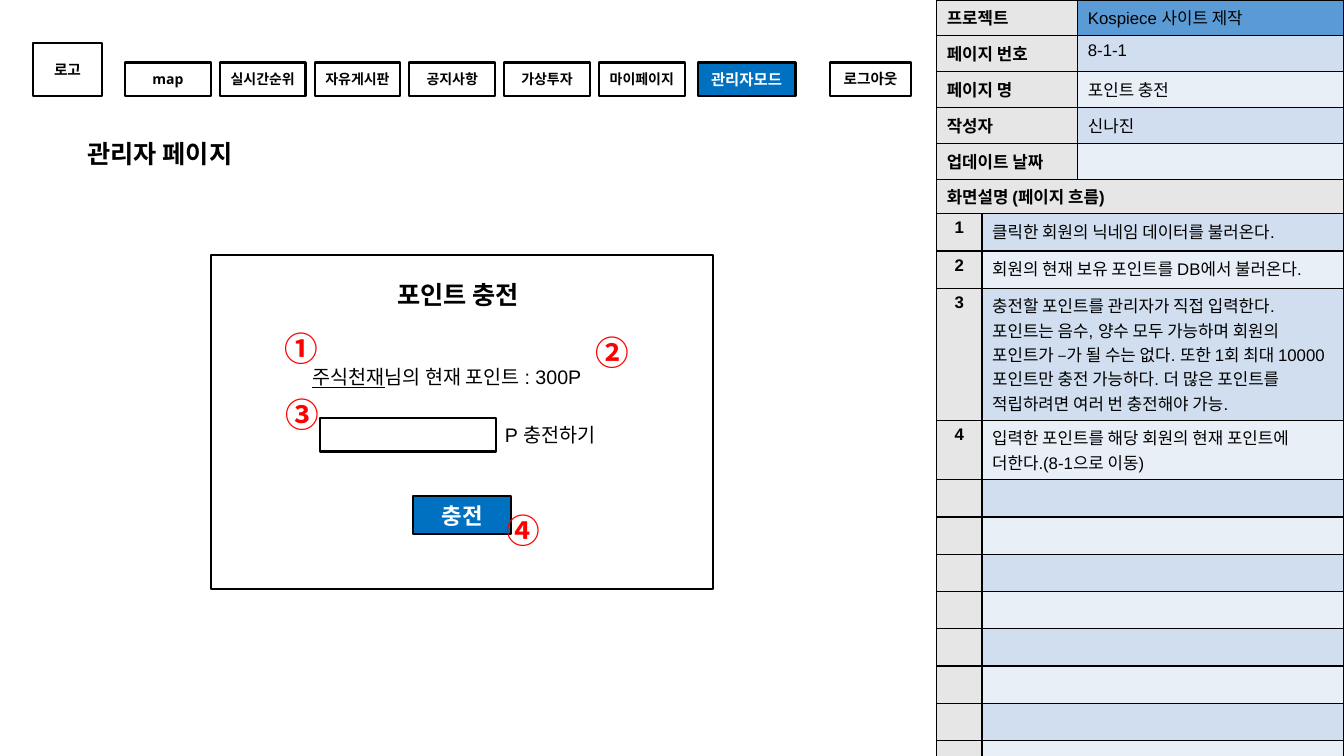
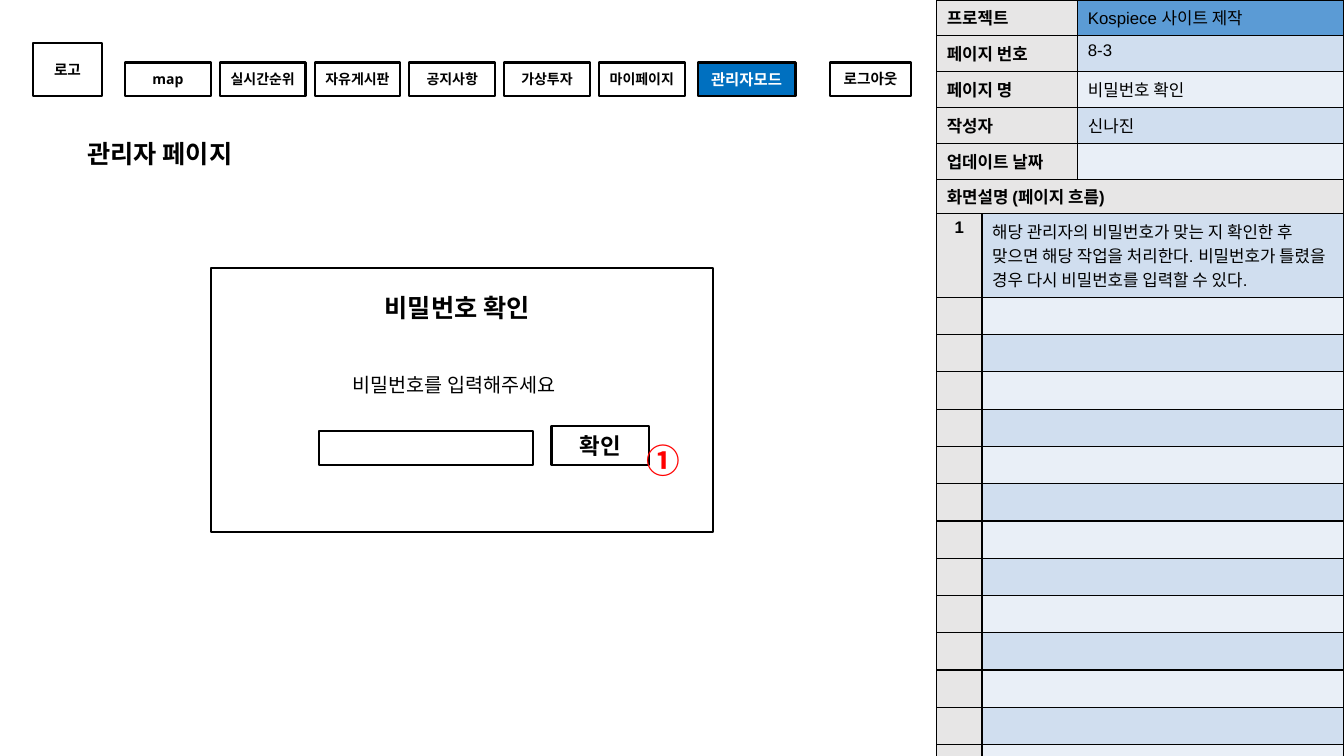
from lxml import etree
from pptx import Presentation
from pptx.dml.color import RGBColor
from pptx.enum.shapes import MSO_SHAPE
from pptx.enum.text import MSO_ANCHOR, PP_ALIGN
from pptx.oxml.ns import qn
from pptx.util import Inches, Pt

RECT = MSO_SHAPE.RECTANGLE
MIDDLE = MSO_ANCHOR.MIDDLE
TOP = MSO_ANCHOR.TOP
CENTER = PP_ALIGN.CENTER
LEFT = PP_ALIGN.LEFT

HEX = {
    "black": "000000", "white": "FFFFFF", "red": "FF0000", "blue": "0070C0",
    "head": "5B9BD5", "label": "E7E6E6", "dark": "D0DEEF", "light": "E9EFF7",
}
BODY, BOLD, KOREAN = "Arial", "Open Sans", "Noto Sans CJK KR"
SIDE, SPLIT = 9.29, 1.78
HEAD, ROW = 0.34, 0.37
MENU = ["map", "실시간순위", "자유게시판", "공지사항", "가상투자", "마이페이지"]


def color(name):
    return RGBColor.from_string(HEX[name])


class Deck:
    def __init__(self):
        self.prs = Presentation()
        self.prs.slide_width = Inches(13.33)
        self.prs.slide_height = Inches(7.5)
        self.slide = None

    # Text
    def run(self, par, text, size, font=BODY, ink="black", bold=False, under=False):
        run = par.add_run()
        run.text = text
        run.font.name = font
        run.font.size = Pt(size)
        run.font.bold = bold
        run.font.underline = under
        run.font.color.rgb = color(ink)
        east = etree.SubElement(run.font._element, qn("a:ea"))
        east.set("typeface", KOREAN)

    def frame(self, shape, pad, anchor):
        frame = shape.text_frame
        frame.word_wrap = True
        frame.vertical_anchor = anchor
        frame.margin_left = frame.margin_right = Inches(pad[0])
        frame.margin_top = frame.margin_bottom = Inches(pad[1])
        return frame.paragraphs[0]

    def label(self, x, y, w, h):
        return self.slide.shapes.add_textbox(Inches(x), Inches(y), Inches(w), Inches(h))

    def title(self, x, y, text):
        par = self.frame(self.label(x, y, 1.81, 0.37), (0.1, 0.1), MIDDLE)
        par.alignment = CENTER
        self.run(par, text, 18, BOLD, bold=True)

    def line(self, x, y, w, text, lead=""):
        par = self.frame(self.label(x, y, w, 0.34), (0.1, 0.05), TOP)
        if lead:
            self.run(par, lead, 14, under=True)
        self.run(par, text, 14)

    def badge(self, x, y, mark):
        par = self.frame(self.label(x, y, 0.6, 0.5), (0.1, 0.05), TOP)
        self.run(par, mark, 24, KOREAN, "red", True)

    # Boxes
    def box(self, x, y, w, h, text="", size=10, fill=None, ink="black"):
        box = self.slide.shapes.add_shape(RECT, Inches(x), Inches(y), Inches(w), Inches(h))
        box.shadow.inherit = False
        box.line.color.rgb = color("black")
        box.line.width = Pt(1.5)
        if fill:
            box.fill.solid()
            box.fill.fore_color.rgb = color(fill)
        else:
            box.fill.background()
        if text:
            par = self.frame(box, (0, 0.1), MIDDLE)
            par.alignment = CENTER
            self.run(par, text, size, BOLD, ink, True)

    # Tables
    def cell(self, cell, text, fill, bold=False, align=LEFT):
        props = cell._tc.get_or_add_tcPr()
        for side in ("lnL", "lnR", "lnT", "lnB"):
            edge = etree.SubElement(props, qn("a:" + side), w=str(Pt(1)))
            paint = etree.SubElement(edge, qn("a:solidFill"))
            etree.SubElement(paint, qn("a:srgbClr"), val=HEX["black"])
        cell.fill.solid()
        cell.fill.fore_color.rgb = color(fill)
        frame = cell.text_frame
        for i, part in enumerate(text.split("\n")):
            par = frame.add_paragraph() if i else frame.paragraphs[0]
            par.alignment = align
            if part:
                self.run(par, part, 12, bold=bold)
            else:
                etree.SubElement(par._p, qn("a:endParaRPr"), sz="1200")

    def table(self, y, cols, rows):
        shape = self.slide.shapes.add_table(
            len(rows), len(cols), Inches(SIDE), Inches(y),
            Inches(sum(cols)), Inches(sum(rows)))
        table = shape.table
        table.first_row = table.horz_banding = False
        for col, width in zip(table.columns, cols):
            col.width = Inches(width)
        for row, height in zip(table.rows, rows):
            row.height = Inches(height)
        return table

    def info(self, code, name):
        rows = [("프로젝트", "Kospiece 사이트 제작"), ("페이지 번호", code),
                ("페이지 명", name), ("작성자", "신나진"), ("업데이트 날짜", "")]
        fills = ["head", "dark", "light", "dark", "light"]
        table = self.table(0, [1.4, 2.64], [SPLIT / len(rows)] * len(rows))
        for i, (key, value) in enumerate(rows):
            self.cell(table.cell(i, 0), key, "label", True)
            self.cell(table.cell(i, 1), value, fills[i])

    def flow(self, notes, tall, count):
        rows = [HEAD] + tall + [ROW] * (count - len(tall))
        table = self.table(SPLIT, [0.45, 3.59], rows)
        table.cell(0, 0).merge(table.cell(0, 1))
        self.cell(table.cell(0, 0), "화면설명 (페이지 흐름)", "label", True)
        self.cell(table.cell(0, 1), "", "label")
        for i in range(1, count + 1):
            used = i <= len(notes)
            self.cell(table.cell(i, 0), str(i) if used else "", "label", True, CENTER)
            self.cell(table.cell(i, 1), notes[i - 1] if used else "",
                      "dark" if i % 2 else "light")

    # Shared page parts
    def page(self, code, name):
        self.slide = self.prs.slides.add_slide(self.prs.slide_layouts[6])
        self.info(code, name)
        self.box(0.33, 0.43, 0.68, 0.52, "로고", 10.5)
        for i, item in enumerate(MENU):
            self.box(1.24 + 0.94 * i, 0.62, 0.85, 0.33, item)
        self.box(6.92, 0.62, 0.97, 0.33, "관리자모드", 11, "blue", "white")
        self.box(8.23, 0.62, 0.81, 0.33, "로그아웃", 10.5)
        self.title(0.68, 1.34, "관리자 페이지")


def charge(deck):
    deck.page("8-1-1", "포인트 충전")
    deck.flow([
        "클릭한 회원의 닉네임 데이터를 불러온다.",
        "회원의 현재 보유 포인트를 DB에서 불러온다.",
        "충전할 포인트를 관리자가 직접 입력한다.\n"
        "포인트는 음수, 양수 모두 가능하며 회원의 포인트가 –가 될 수는 없다. "
        "또한 1회 최대 10000포인트만 충전 가능하다. "
        "더 많은 포인트를 적립하려면 여러 번 충전해야 가능.",
        "입력한 포인트를 해당 회원의 현재 포인트에 더한다.(8-1으로 이동)",
    ], [ROW, ROW, 1.31, 0.59], 12)
    # Charge dialog
    deck.box(2.09, 2.53, 4.98, 3.31)
    deck.title(3.64, 2.74, "포인트 충전")
    deck.line(3, 3.57, 3.63, "님의 현재 포인트 : 300P", "주식천재")
    deck.box(3.17, 4.15, 1.75, 0.33)
    deck.line(4.91, 4.15, 1.28, "P 충전하기")
    deck.box(4.1, 4.92, 0.97, 0.38, "충전", 16, "blue", "white")
    for x, y, mark in [(2.72, 3.2, "①"), (5.81, 3.24, "②"),
                       (2.73, 3.86, "③"), (4.93, 5.01, "④")]:
        deck.badge(x, y, mark)


def check(deck):
    deck.page("8-3", "비밀번호 확인")
    deck.flow([
        "해당 관리자의 비밀번호가 맞는 지 확인한 후 맞으면 해당 작업을 처리한다. "
        "비밀번호가 틀렸을 경우 다시 비밀번호를 입력할 수 있다.",
    ], [0.83], 14)
    # Password dialog
    deck.box(2.09, 2.66, 4.98, 2.62)
    deck.title(3.63, 2.87, "비밀번호 확인")
    deck.line(3.4, 3.65, 2.54, "비밀번호를 입력해주세요")
    deck.box(3.16, 4.28, 2.13, 0.33)
    deck.box(5.47, 4.23, 0.97, 0.38, "확인", 16, "white")
    deck.badge(6.31, 4.32, "①")


def main():
    deck = Deck()
    charge(deck)
    check(deck)
    deck.prs.save("out.pptx")


if __name__ == "__main__":
    main()
